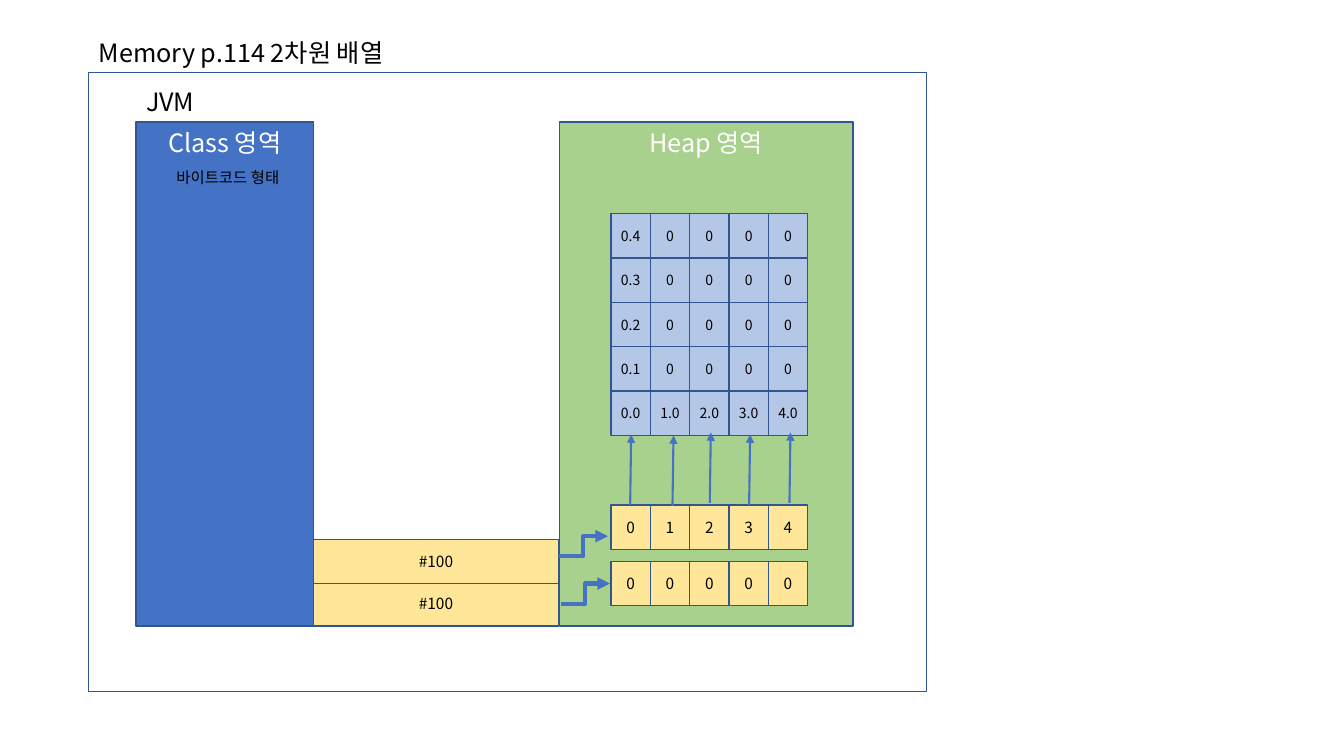
from dataclasses import dataclass
from lxml.etree import SubElement
from pptx import Presentation
from pptx.dml.color import RGBColor
from pptx.enum.shapes import MSO_CONNECTOR, MSO_SHAPE
from pptx.enum.text import MSO_ANCHOR, PP_ALIGN
from pptx.oxml.ns import qn
from pptx.util import Inches, Pt


@dataclass(frozen=True)
class Theme:
    font: str = "Noto Sans CJK KR"
    outline: str = "325491"
    blue: str = "4472C4"
    green: str = "A9D18E"
    yellow: str = "FFE699"
    pale_blue: str = "B4C7E7"
    black: str = "000000"
    white: str = "FFFFFF"
    title_size: int = 18
    label_size: int = 11
    cell_size: int = 10


theme = Theme()

presentation = Presentation()
presentation.slide_width = Inches(13.33)
presentation.slide_height = Inches(7.5)
slide = presentation.slides.add_slide(presentation.slide_layouts[6])


def add_box(left, top, width, height, fill=None, line=theme.outline, text="",
            size=theme.label_size, color=theme.black,
            anchor=MSO_ANCHOR.MIDDLE, align=PP_ALIGN.CENTER):
    bounds = [Inches(value) for value in (left, top, width, height)]
    if line:
        shape = slide.shapes.add_shape(MSO_SHAPE.RECTANGLE, *bounds)
        shape.shadow.inherit = False
        shape.line.color.rgb = RGBColor.from_string(line)
        shape.line.width = Pt(1)
    else:
        shape = slide.shapes.add_textbox(*bounds)
    if fill:
        shape.fill.solid()
        shape.fill.fore_color.rgb = RGBColor.from_string(fill)
    else:
        shape.fill.background()
    if not text:
        return
    text_frame = shape.text_frame
    text_frame.text = text
    text_frame.word_wrap = True
    text_frame.vertical_anchor = anchor
    text_frame.margin_right = 0
    if align == PP_ALIGN.CENTER:
        text_frame.margin_left = 0
    paragraph = text_frame.paragraphs[0]
    paragraph.alignment = align
    font = paragraph.runs[0].font
    font.name = theme.font
    font.size = Pt(size)
    font.color.rgb = RGBColor.from_string(color)
    SubElement(font._element, qn("a:ea")).set("typeface", theme.font)


def add_arrow(kind, start, end, width):
    connector = slide.shapes.add_connector(
        kind, *[Inches(value) for value in start + end])
    connector.line.color.rgb = RGBColor.from_string(theme.blue)
    connector.line.width = Pt(width)
    SubElement(connector.line._get_or_add_ln(), qn("a:tailEnd")).set("type", "triangle")
    SubElement(connector._element.spPr, qn("a:effectLst"))


# JVM frame and headings
add_box(0.88, 0.72, 8.31, 6.14)
for left, top, width, text in [(0.88, 0.32, 3.27, "Memory p.114 2차원 배열"),
                               (1.35, 0.81, 0.68, "JVM")]:
    add_box(left, top, width, 0.4, line=None, text=text, size=theme.title_size,
            anchor=MSO_ANCHOR.TOP, align=PP_ALIGN.LEFT)

# Class and heap areas
for left, width, fill, text in [(1.35, 1.76, theme.blue, "Class 영역"),
                                (5.55, 2.91, theme.green, "Heap 영역")]:
    add_box(left, 1.21, width, 5, fill, text=text, size=theme.title_size,
            color=theme.white, anchor=MSO_ANCHOR.TOP)
add_box(1.57, 1.54, 1.38, 0.44, line=None, text="바이트코드 형태")

# Stack references
for top in (5.77, 5.35):
    add_box(3.11, top, 2.43, 0.44, theme.yellow, text="#100")

# Heap cells: five rows of values, the index row and the second array
cell_left, cell_width, cell_height = 6.06, 0.39, 0.44
value_rows = [[f"0.{4 - row}"] + ["0"] * 4 for row in range(4)]
value_rows.append([f"{column}.0" for column in range(5)])
rows = [(2.12 + index * cell_height, theme.pale_blue, theme.cell_size, values)
        for index, values in enumerate(value_rows)]
rows.append((5.01, theme.yellow, theme.label_size, list("01234")))
rows.append((5.57, theme.yellow, theme.label_size, list("00000")))
for top, fill, size, values in rows:
    for column, value in enumerate(values):
        add_box(cell_left + column * cell_width, top, cell_width, cell_height,
                fill, text=value, size=size)

# Arrows from references to arrays
for left, top in [(5.56, 5.79), (5.54, 5.32)]:
    add_arrow(MSO_CONNECTOR.ELBOW, (left, top + 0.2), (left + 0.49, top), 3)

# Arrows from indexes to value columns
for left, bottom in [(6.25, 5.01), (6.67, 5.02), (7.04, 4.99), (7.43, 5.01), (7.83, 4.99)]:
    add_arrow(MSO_CONNECTOR.STRAIGHT, (left, bottom), (left + 0.01, bottom - 0.7), 1.5)

presentation.save("out.pptx")
